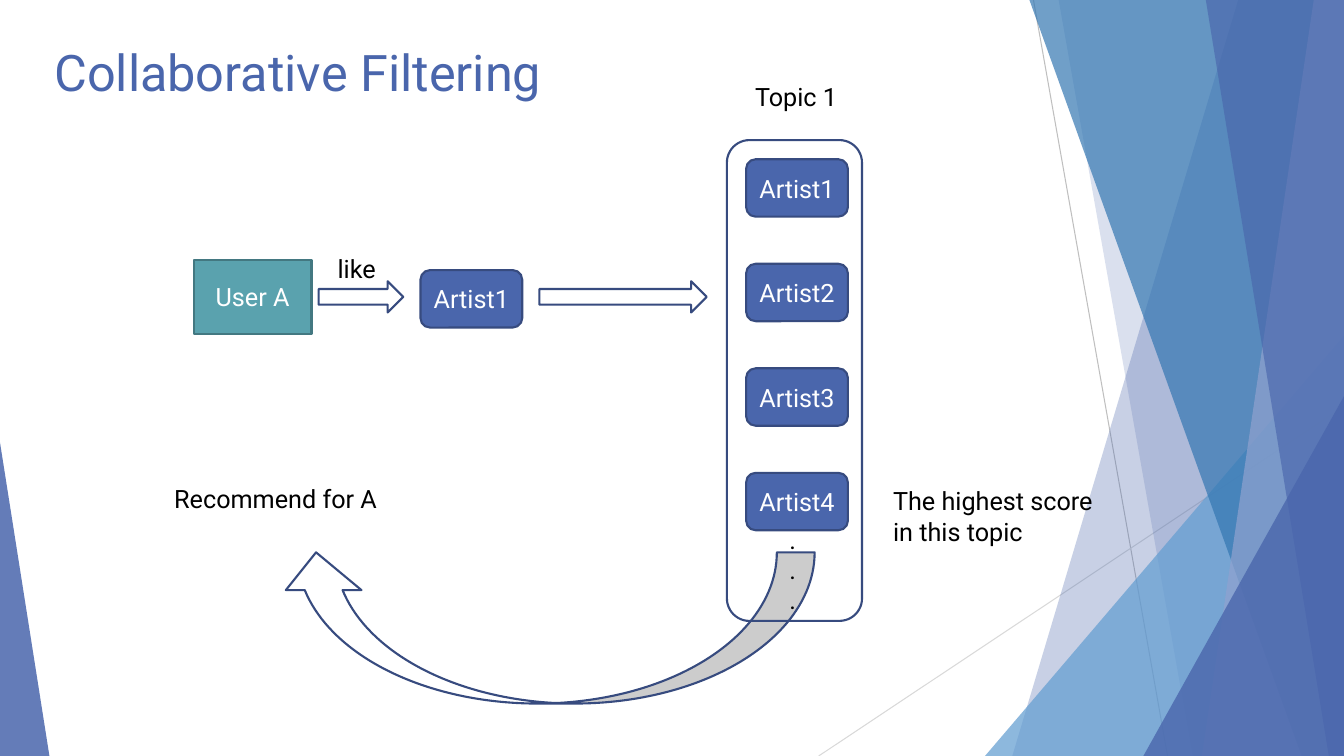
from pptx import Presentation
from pptx.dml.color import RGBColor
from pptx.enum.shapes import MSO_CONNECTOR, MSO_SHAPE as Kind
from pptx.enum.text import MSO_ANCHOR as Anchor, PP_ALIGN as Align
from pptx.oxml.ns import qn
from pptx.util import Inches, Pt
from lxml.etree import SubElement

WIDE, HIGH = 13.33, 7.5
BLUE, NAVY, TEAL, WHITE = "4A66AC", "374B7F", "5AA2AE", "FFFFFF"

deck = Presentation()
deck.slide_width, deck.slide_height = Inches(WIDE), Inches(HIGH)
slide = deck.slides.add_slide(deck.slide_layouts[6])
shapes = slide.shapes


def paint(shape, fill=None, line=None, alpha=None):
    """Set fill, outline and opacity in percent, and drop the shadow."""
    shape.shadow.inherit = False
    if fill:
        shape.fill.solid()
        shape.fill.fore_color.rgb = RGBColor.from_string(fill)
    else:
        shape.fill.background()
    if line:
        shape.line.color.rgb = RGBColor.from_string(line)
        shape.line.width = Pt(1.5)
    else:
        shape.line.fill.background()
    if alpha:
        color = shape.fill._xPr.find(qn("a:solidFill"))[0]
        SubElement(color, qn("a:alpha")).set("val", str(alpha * 1000))


def write(text, box, kind=None, fill=None, line=None, size=18, color="000000"):
    """Put text in a text box, or centred in a shape of the given kind."""
    place = [Inches(n) for n in box]
    if kind:
        shape = shapes.add_shape(kind, *place)
        paint(shape, fill, line)
    else:
        shape = shapes.add_textbox(*place)
    frame = shape.text_frame
    frame.word_wrap = True
    frame.vertical_anchor = Anchor.MIDDLE if kind else Anchor.TOP
    frame.text = text
    for para in frame.paragraphs:
        para.alignment = Align.CENTER if kind else Align.LEFT
        para.font.name = "Roboto"
        para.font.size = Pt(size)
        para.font.color.rgb = RGBColor.from_string(color)
    return shape


# Backdrop: thin lines, then translucent facets
for x1, y1, x2, y2, color in [(10.25, 0, 11.58, HIGH, "BFBFBF"),
                              (WIDE, 4.03, 8.12, HIGH, "D9D9D9")]:
    ray = shapes.add_connector(MSO_CONNECTOR.STRAIGHT, Inches(x1), Inches(y1),
                               Inches(x2), Inches(y2))
    ray.line.color.rgb = RGBColor.from_string(color)
    ray.line.width = Pt(0.75)
    SubElement(ray._element.spPr, qn("a:effectLst"))

# Each facet runs to the right edge: x at its top, x at its foot, top
facets = [
    (12.28, 10.04, 0, BLUE, 30),
    (10.5, 11.83, 0, BLUE, 20),
    (WIDE, 9.77, 3.33, "629DD1", 72),
    (10.21, 12.91, 0, "3477B2", 70),
    (13.03, 11.92, 0, "90A2CF", 70),
    (11.96, 13.18, 0, BLUE, 65),
    (WIDE, 11.34, 3.93, BLUE, 80),
]
for head, foot, top, color, alpha in facets:
    if head == WIDE:
        facet = shapes.add_shape(Kind.ISOSCELES_TRIANGLE, Inches(foot), Inches(top),
                                 Inches(WIDE - foot), Inches(HIGH - top))
        facet.adjustments[0] = 1
    else:
        pen = shapes.build_freeform(Inches(head), Inches(top))
        pen.add_line_segments([(Inches(x), Inches(y)) for x, y in
                               [(WIDE, top), (WIDE, HIGH), (foot, HIGH)]])
        facet = pen.convert_to_shape()
    paint(facet, color, alpha=alpha)

wedge = shapes.add_shape(Kind.ISOSCELES_TRIANGLE, 0, Inches(4.39),
                         Inches(0.49), Inches(3.11))
wedge.adjustments[0] = 0
paint(wedge, BLUE, alpha=85)

# User and artists
write("User A", (1.92, 2.58, 1.17, 0.73), Kind.FLOWCHART_PROCESS,
      TEAL, "437881", color=WHITE)
artists = [(f"Artist{i + 1}", 7.4, 1.58 + 1.037 * i) for i in range(4)]
for name, x, y in artists + [("Artist1", 4.17, 2.68)]:
    write(name, (x, y, 1.01, 0.57), Kind.ROUNDED_RECTANGLE, BLUE, NAVY, color=WHITE)

# Arrows
swoop = shapes.add_shape(Kind.CURVED_UP_ARROW, Inches(2.76), Inches(5.48),
                         Inches(5.32), Inches(1.5))
swoop._element.spPr.xfrm.set("flipH", "1")
paint(swoop, WHITE, NAVY)
for x, width in [(3.16, 0.84), (5.35, 1.66)]:
    arrow = shapes.add_shape(Kind.RIGHT_ARROW, Inches(x), Inches(2.79),
                             Inches(width), Inches(0.31))
    paint(arrow, WHITE, NAVY)

# Topic frame and labels
frame = shapes.add_shape(Kind.ROUNDED_RECTANGLE, Inches(7.21), Inches(1.39),
                         Inches(1.34), Inches(4.77))
paint(frame, line=NAVY)
write("like", (3.25, 2.46, 0.77, 0.4))
write("Recommend for A", (1.63, 4.75, 2.27, 0.4))
write(".\n.\n.", (7.73, 5.15, 0.25, 1.01))
write("The highest score in this topic", (8.76, 4.77, 2.27, 0.71))
write("Topic 1", (7.39, 0.76, 1.33, 0.4))
write("Collaborative Filtering", (0.44, 0.36, 5.32, 0.86), size=36, color=BLUE)

deck.save("out.pptx")
